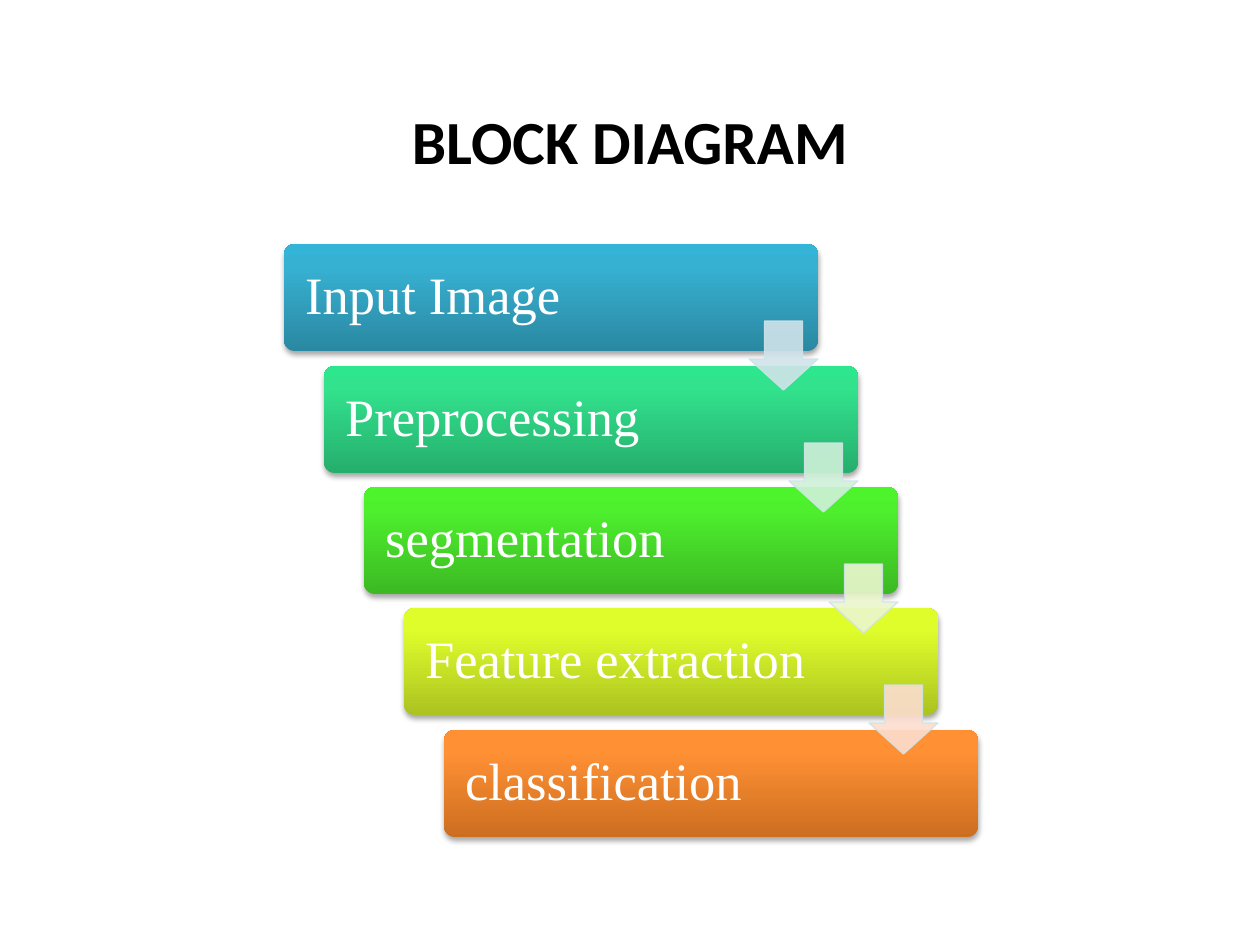
"""Builds a slide with a staircase block diagram of an image classification pipeline."""
from copy import deepcopy
from dataclasses import dataclass

from lxml.etree import SubElement
from pptx import Presentation
from pptx.dml.color import RGBColor
from pptx.enum.shapes import MSO_SHAPE
from pptx.enum.text import MSO_ANCHOR, PP_ALIGN
from pptx.oxml.ns import qn
from pptx.util import Pt

EMU_PER_PX = 914400 / 126


def px(*lengths):
    return [round(length * EMU_PER_PX) for length in lengths]


@dataclass(frozen=True)
class Theme:
    title_font: str = "Calibri"
    step_font: str = "Times New Roman"
    title_size: int = 35
    step_size: int = 30
    title_color: str = "000000"
    step_color: str = "FFFFFF"
    shadow_color: str = "000000"
    arrow_edge: str = "D0E3EA"
    arrow_opacity: int = 90
    shadow_opacity: int = 35
    gradient_stops: tuple = (0, 0.8, 1)


class DiagramSlide:
    def __init__(self, presentation, theme):
        self.theme = theme
        self.slide = presentation.slides.add_slide(presentation.slide_layouts[5])

    def label(self, frame, text, font, size, color, bold=False):
        frame.word_wrap = True
        frame.vertical_anchor = MSO_ANCHOR.MIDDLE
        paragraph = frame.paragraphs[0]
        paragraph.text = text
        paragraph.font.name = font
        paragraph.font.size = Pt(size)
        paragraph.font.bold = bold
        paragraph.font.color.rgb = RGBColor.from_string(color)
        return paragraph

    def title(self, text, left, top, width, height):
        heading = self.slide.shapes.title
        heading.left, heading.top, heading.width, heading.height = px(left, top, width, height)
        paragraph = self.label(heading.text_frame, text, self.theme.title_font,
                               self.theme.title_size, self.theme.title_color, bold=True)
        paragraph.alignment = PP_ALIGN.CENTER

    def preset(self, kind, left, top, width, height, adjustments):
        shape = self.slide.shapes.add_shape(kind, *px(left, top, width, height))
        shape.shadow.inherit = False
        for index, value in enumerate(adjustments):
            shape.adjustments[index] = value
        return shape

    def step(self, text, colors, left, top, width, height):
        box = self.preset(MSO_SHAPE.ROUNDED_RECTANGLE, left, top, width, height, [0.1])
        box.line.fill.background()
        self.gradient(box, colors)
        self.drop_shadow(box)
        frame = box.text_frame
        frame.margin_left, frame.margin_right = px(18, 18)
        paragraph = self.label(frame, text, self.theme.step_font,
                               self.theme.step_size, self.theme.step_color)
        paragraph.alignment = PP_ALIGN.LEFT
        paragraph.line_spacing = 0.9

    def gradient(self, box, colors):
        box.fill.gradient()
        box.fill.gradient_angle = 90
        stop_list = box.element.spPr.find(".//" + qn("a:gsLst"))
        stop_list.append(deepcopy(stop_list[0]))
        for stop, position, color in zip(box.fill.gradient_stops, self.theme.gradient_stops, colors):
            stop.position = position
            stop.color.rgb = RGBColor.from_string(color)

    def drop_shadow(self, box):
        effects = box.element.spPr.find(qn("a:effectLst"))
        shadow = SubElement(effects, qn("a:outerShdw"), blurRad=str(Pt(3.1)),
                            dist=str(Pt(1.8)), dir="5400000", rotWithShape="0")
        color = SubElement(shadow, qn("a:srgbClr"), val=self.theme.shadow_color)
        self.opacity(color, self.theme.shadow_opacity)

    def opacity(self, color, percent):
        SubElement(color, qn("a:alpha"), val=str(percent * 1000))

    def arrow(self, color, left, top, side):
        arrow = self.preset(MSO_SHAPE.DOWN_ARROW, left, top, side, side, [0.55, 0.45])
        arrow.fill.solid()
        arrow.fill.fore_color.rgb = RGBColor.from_string(color)
        arrow.line.color.rgb = RGBColor.from_string(self.theme.arrow_edge)
        arrow.line.width = Pt(0.75)
        for paint in arrow.element.spPr.iter(qn("a:srgbClr")):
            self.opacity(paint, self.theme.arrow_opacity)


STEPS = [
    ("Input Image", ("2A88A2", "37B1D2", "34B4D6")),
    ("Preprocessing", ("26AE6D", "32E28D", "2EE68E")),
    ("segmentation", ("3CB923", "4EF02E", "4CF52A")),
    ("Feature extraction", ("ACC321", "DFFD2B", "E1FF2B")),
    ("classification", ("CC6E20", "FF9034", "FF9136")),
]
ARROW_COLORS = ["D0E3EA", "CFF1D9", "EBF7CE", "FCDDCF"]
BOX_WIDTH, BOX_HEIGHT, ARROW_SIDE, ARROW_DROP = 534, 107, 69, 77
FIRST_LEFT, FIRST_TOP, TOTAL_SHIFT, TOTAL_DROP = 284, 244, 160, 486


def main():
    presentation = Presentation()
    presentation.slide_width, presentation.slide_height = px(1260, 945)
    diagram = DiagramSlide(presentation, Theme())
    diagram.title("BLOCK DIAGRAM", 87, 50, 1086, 181)

    gaps = len(STEPS) - 1
    corners = [(FIRST_LEFT + round(TOTAL_SHIFT * i / gaps), FIRST_TOP + round(TOTAL_DROP * i / gaps))
               for i in range(len(STEPS))]
    for (name, colors), (left, top) in zip(STEPS, corners):
        diagram.step(name, colors, left, top, BOX_WIDTH, BOX_HEIGHT)
    for color, (left, top) in zip(ARROW_COLORS, corners):
        diagram.arrow(color, left + BOX_WIDTH - ARROW_SIDE, top + ARROW_DROP, ARROW_SIDE)

    presentation.save("out.pptx")


if __name__ == "__main__":
    main()
